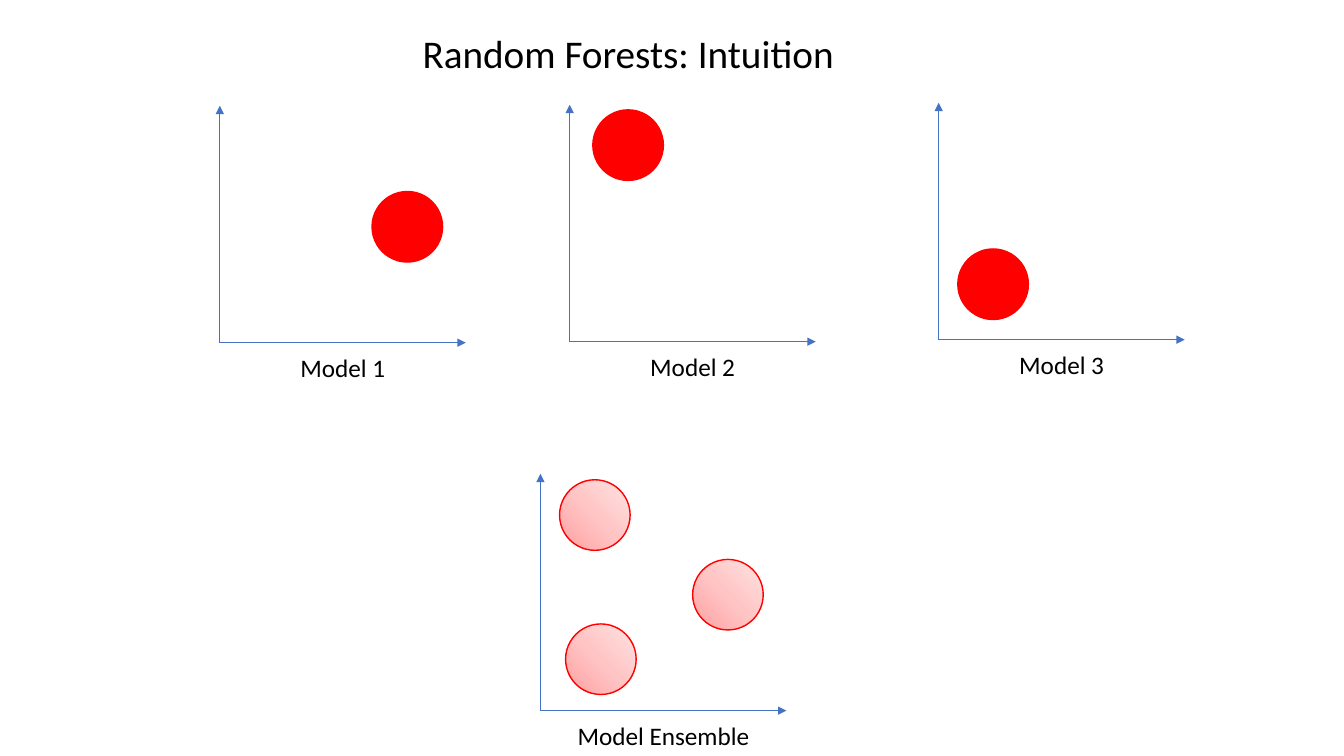
from pptx import Presentation, oxml
from pptx.dml.color import RGBColor
from pptx.enum import shapes, text
from pptx.oxml import ns
from pptx.util import Inches, Pt
from lxml import etree

AXIS_HEIGHT, AXIS_WIDTH = 2.35, 2.44
DIAMETER = 0.7
GRADIENT = [(0, "FFA0A0"), (50, "FFC5C5"), (100, "FFE3E3")]


def color(value):
    return RGBColor.from_string(value)


def write(paragraph, wording, size):
    paragraph.alignment = text.PP_ALIGN.CENTER
    run = paragraph.add_run()
    run.text = wording
    run.font.name = "Calibri"
    run.font.size = Pt(size)
    run.font.color.rgb = color("000000")


presentation = Presentation()
presentation.slide_width = Inches(13.33)
presentation.slide_height = Inches(7.5)
slide = presentation.slides.add_slide(presentation.slide_layouts[5])

# Title
title = slide.shapes.title
title.left, title.top = Inches(0.48), Inches(0.07)
title.width, title.height = Inches(11.5), Inches(0.96)
title.text_frame.vertical_anchor = text.MSO_ANCHOR.MIDDLE
title.text_frame.paragraphs[0].line_spacing = 0.9
write(title.text_frame.paragraphs[0], "Random Forests: Intuition", 28)

# Plots: label, axis origin, circle positions, faded circles
plots = [
    ("Model 1", 2.18, 3.4, [(3.69, 1.9)], False),
    ("Model 2", 5.65, 3.39, [(5.88, 1.09)], False),
    ("Model 3", 9.31, 3.37, [(9.5, 2.47)], False),
    ("Model Ensemble", 5.36, 7.05, [(6.87, 5.55), (5.55, 4.76), (5.61, 6.19)], True),
]
for label, x, y, circles, faded in plots:
    # Vertical and horizontal axis
    for end_x, end_y in [(x, y - AXIS_HEIGHT), (x + AXIS_WIDTH, y)]:
        axis = slide.shapes.add_connector(
            shapes.MSO_CONNECTOR.STRAIGHT,
            Inches(x), Inches(y), Inches(end_x), Inches(end_y))
        axis.line.color.rgb = color("4472C4")
        axis.line.width = Pt(0.5)
        properties = axis._element.spPr
        arrowhead = etree.SubElement(properties.find(ns.qn("a:ln")), ns.qn("a:tailEnd"))
        arrowhead.set("type", "triangle")
        etree.SubElement(properties, ns.qn("a:effectLst"))

    # Predictions
    for left, top in circles:
        circle = slide.shapes.add_shape(
            shapes.MSO_SHAPE.OVAL, Inches(left), Inches(top),
            Inches(DIAMETER), Inches(DIAMETER))
        circle.shadow.inherit = False
        circle.line.color.rgb = color("FF0000")
        circle.line.width = Pt(1)
        if faded:
            stops = "".join(
                f'<a:gs pos="{position * 1000}"><a:srgbClr val="{value}"/></a:gs>'
                for position, value in GRADIENT)
            gradient = oxml.parse_xml(
                f'<a:gradFill {ns.nsdecls("a")} rotWithShape="1"><a:gsLst>{stops}</a:gsLst>'
                '<a:path path="circle"><a:fillToRect t="100000" r="100000"/></a:path>'
                '</a:gradFill>')
            circle._element.spPr.find(ns.qn("a:prstGeom")).addnext(gradient)
        else:
            circle.fill.solid()
            circle.fill.fore_color.rgb = color("FF0000")

    # Label under the plot
    caption = slide.shapes.add_textbox(
        Inches(x + 0.19), Inches(y + 0.05), Inches(2.06), Inches(0.4))
    caption.text_frame.word_wrap = True
    caption.text_frame.auto_size = text.MSO_AUTO_SIZE.SHAPE_TO_FIT_TEXT
    write(caption.text_frame.paragraphs[0], label, 18)

presentation.save("out.pptx")
